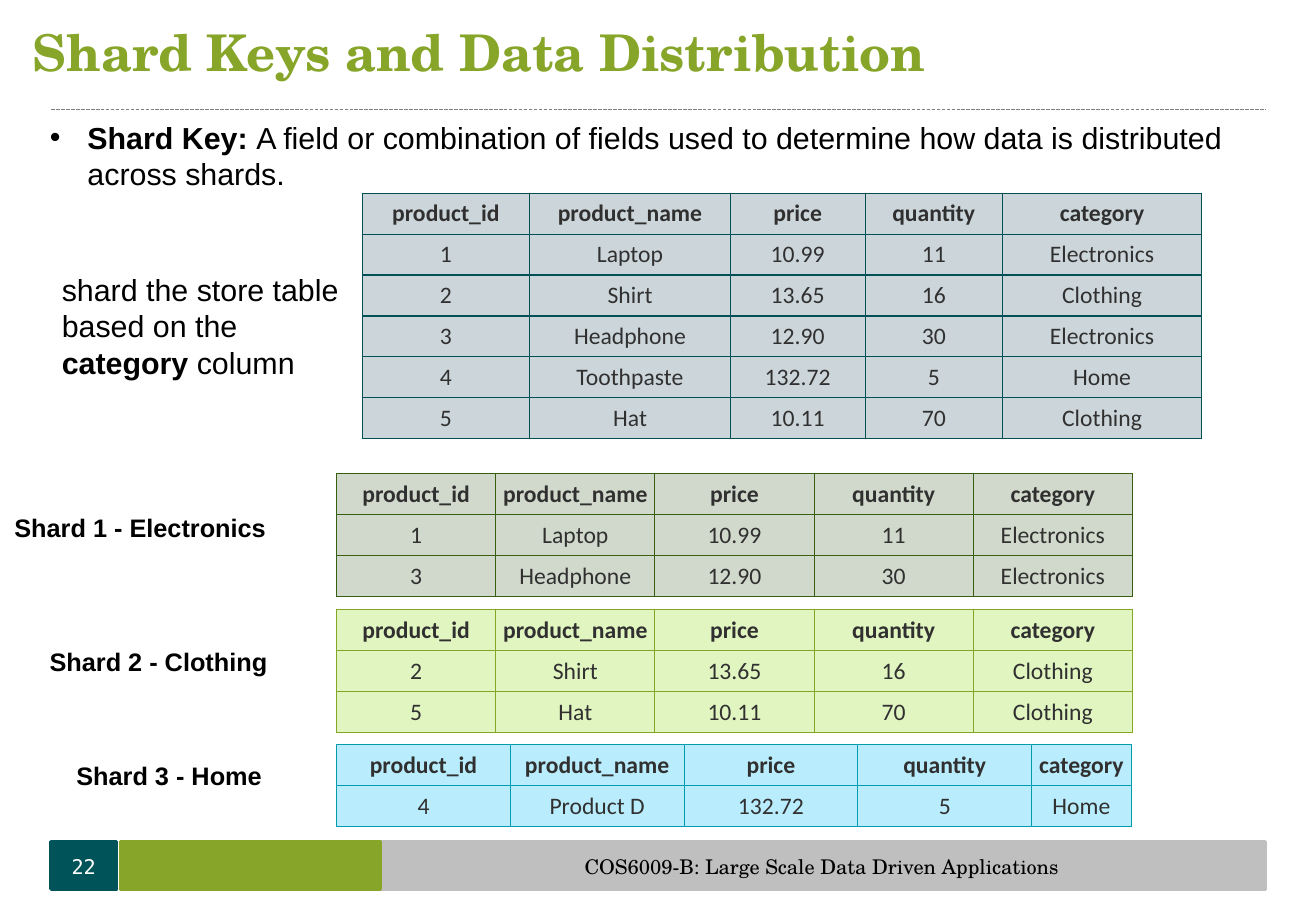
import pptx
import pptx.util
import pptx.dml.color
import pptx.enum.dml
import pptx.enum.shapes
import pptx.enum.text
import pptx.oxml
import pptx.oxml.ns
from pptx.util import Inches

ALIGN = pptx.enum.text.PP_ALIGN
ANCHOR = pptx.enum.text.MSO_ANCHOR

TITLE = "Shard Keys and Data Distribution"
DEFINITION = [
    ("Shard Key: ", True),
    ("A field or combination of fields used to determine how data is distributed across shards.", False),
]
FOOTER = "COS6009-B: Large Scale Data Driven Applications"
PAGE_NUMBER = "22"
HEADER = ("product_id", "product_name", "price", "quantity", "category")
STORE = [
    ("1", "Laptop", "10.99", "11", "Electronics"),
    ("2", "Shirt", "13.65", "16", "Clothing"),
    ("3", "Headphone", "12.90", "30", "Electronics"),
    ("4", "Toothpaste", "132.72", "5", "Home"),
    ("5", "Hat", "10.11", "70", "Clothing"),
]
HOME = [("4", "Product D", "132.72", "5", "Home")]
EQUAL_COLUMNS = (1.31,) * 5
TABLES = [
    (2.98, 1.59, (1.38, 1.65, 1.11, 1.13, 1.64), STORE, "CCD6DA", "005157"),
    (2.77, 3.9, EQUAL_COLUMNS, [STORE[0], STORE[2]], "D1D9CC", "385E12"),
    (2.77, 5.02, EQUAL_COLUMNS, [STORE[1], STORE[4]], "E0F5C0", "86A425"),
    (2.77, 6.13, (1.43, 1.43, 1.43, 1.43, 0.82), HOME, "B9EDFD", "009BAE"),
]
ROW_HEIGHT = Inches(2.02) // 6
CELL_MARGIN = Inches(0.05)
NOTE = [("shard the store table based on the ", False), ("category", True), (" column", False)]
LABELS = [
    (0.41, 2.18, 2.52, 1.01, NOTE, 18),
    (0.02, 4.17, 2.73, 0.35, [("Shard 1 - Electronics", True)], 15),
    (0.31, 5.27, 2.73, 0.35, [("Shard 2 - Clothing", True)], 15),
    (0.53, 6.21, 2.73, 0.35, [("Shard 3 - Home", True)], 15),
]
BAR_TOP, BAR_HEIGHT = 6.93, 0.39
BARS = [(0.42, 0.54, "005359"), (3.13, 7.28, "BFBFBF"), (0.99, 2.14, "87A529")]


def color(value):
    return pptx.dml.color.RGBColor.from_string(value)


def place(shape, left, top, width, height):
    shape.left, shape.top = Inches(left), Inches(top)
    shape.width, shape.height = Inches(width), Inches(height)


def write_text(frame, runs, size=18, font="Arial", ink="000000", align=ALIGN.LEFT):
    paragraph = frame.paragraphs[0]
    paragraph.alignment = align
    paragraph.space_before = pptx.util.Pt(0)
    for text, bold in runs:
        run = paragraph.add_run()
        run.text = text
        run.font.size = pptx.util.Pt(size)
        run.font.name = font
        run.font.bold = bold
        run.font.color.rgb = color(ink)
    return paragraph


def set_frame(frame, anchor=ANCHOR.TOP, side=0.1, edge=0.05):
    frame.word_wrap = True
    frame.auto_size = pptx.enum.text.MSO_AUTO_SIZE.NONE
    frame.vertical_anchor = anchor
    frame.margin_left = frame.margin_right = Inches(side)
    frame.margin_top = frame.margin_bottom = Inches(edge)
    return frame


def add_label(slide, left, top, width, height, runs, anchor=ANCHOR.TOP, side=0.1, edge=0.05, **style):
    box = slide.shapes.add_textbox(Inches(left), Inches(top), Inches(width), Inches(height))
    return write_text(set_frame(box.text_frame, anchor, side, edge), runs, **style)


def set_borders(cell, line_color):
    properties = cell._tc.get_or_add_tcPr()
    for index, side in enumerate(("lnL", "lnR", "lnT", "lnB")):
        properties.insert(index, pptx.oxml.parse_xml(
            f'<a:{side} {pptx.oxml.ns.nsdecls("a")} w="{pptx.util.Pt(0.75)}">'
            f'<a:solidFill><a:srgbClr val="{line_color}"/></a:solidFill></a:{side}>'))


def add_product_table(slide, left, top, widths, records, fill, line_color):
    rows = [HEADER] + records
    table = slide.shapes.add_table(
        len(rows), len(widths), Inches(left), Inches(top),
        Inches(sum(widths)), ROW_HEIGHT * len(rows)).table
    table.horz_banding = table.first_row = False
    for column, width in zip(table.columns, widths):
        column.width = Inches(width)
    for row_index, values in enumerate(rows):
        table.rows[row_index].height = ROW_HEIGHT
        for column_index, value in enumerate(values):
            cell = table.cell(row_index, column_index)
            cell.margin_left = cell.margin_right = CELL_MARGIN
            cell.margin_top = cell.margin_bottom = CELL_MARGIN
            cell.vertical_anchor = ANCHOR.MIDDLE
            cell.fill.solid()
            cell.fill.fore_color.rgb = color(fill)
            set_borders(cell, line_color)
            write_text(cell.text_frame, [(value, row_index == 0)], size=14,
                       font="Calibri", ink="313030", align=ALIGN.CENTER)


def add_frame_parts(slide):
    for left, width, fill in BARS:
        bar = slide.shapes.add_shape(
            pptx.enum.shapes.MSO_SHAPE.RECTANGLE,
            Inches(left), Inches(BAR_TOP), Inches(width), Inches(BAR_HEIGHT))
        bar.shadow.inherit = False
        bar.fill.solid()
        bar.fill.fore_color.rgb = bar.line.color.rgb = color(fill)
        bar.line.width = pptx.util.Pt(2)
    rule = slide.shapes.add_connector(
        pptx.enum.shapes.MSO_CONNECTOR.STRAIGHT,
        Inches(0.42), Inches(0.9), Inches(10.42), Inches(0.9))
    rule.line.color.rgb = color("7F7F7F")
    rule.line.width = pptx.util.Pt(0.75)
    rule.line.dash_style = pptx.enum.dml.MSO_LINE.SQUARE_DOT
    rule._element.spPr.append(
        pptx.oxml.parse_xml(f'<a:effectLst {pptx.oxml.ns.nsdecls("a")}/>'))
    add_label(slide, 3.13, BAR_TOP, 7.27, 0.4, [(FOOTER, False)], anchor=ANCHOR.MIDDLE,
              side=0.12, edge=0, size=12, font="TeX Gyre Schola", align=ALIGN.CENTER)
    add_label(slide, 0.41, BAR_TOP, 0.56, 0.4, [(PAGE_NUMBER, False)], anchor=ANCHOR.MIDDLE,
              side=0, edge=0, size=12, font="DejaVu Sans Mono", ink="FFFFFF", align=ALIGN.CENTER)


def add_title_and_definition(slide):
    title, body = slide.placeholders
    place(title, 0.27, 0, 10.57, 0.85)
    write_text(set_frame(title.text_frame, ANCHOR.MIDDLE, 0, 0), [(TITLE, True)],
               size=30, font="TeX Gyre Schola", ink="87A529")
    place(body, 0.31, 0.93, 10.39, 1.01)
    paragraph = write_text(set_frame(body.text_frame), DEFINITION)
    properties = paragraph._p.get_or_add_pPr()
    properties.set("marL", str(Inches(0.31)))
    properties.set("indent", str(-Inches(0.31)))
    for bullet in ('<a:buFont {} typeface="Arial"/>', '<a:buChar {} char="•"/>'):
        properties.append(pptx.oxml.parse_xml(bullet.format(pptx.oxml.ns.nsdecls("a"))))


def main():
    presentation = pptx.Presentation()
    presentation.slide_width = Inches(10.83)
    presentation.slide_height = Inches(7.5)
    slide = presentation.slides.add_slide(presentation.slide_layouts[1])
    add_frame_parts(slide)
    add_title_and_definition(slide)
    for table in TABLES:
        add_product_table(slide, *table)
    for left, top, width, height, runs, size in LABELS:
        add_label(slide, left, top, width, height, runs, size=size)
    presentation.save("out.pptx")


if __name__ == "__main__":
    main()
